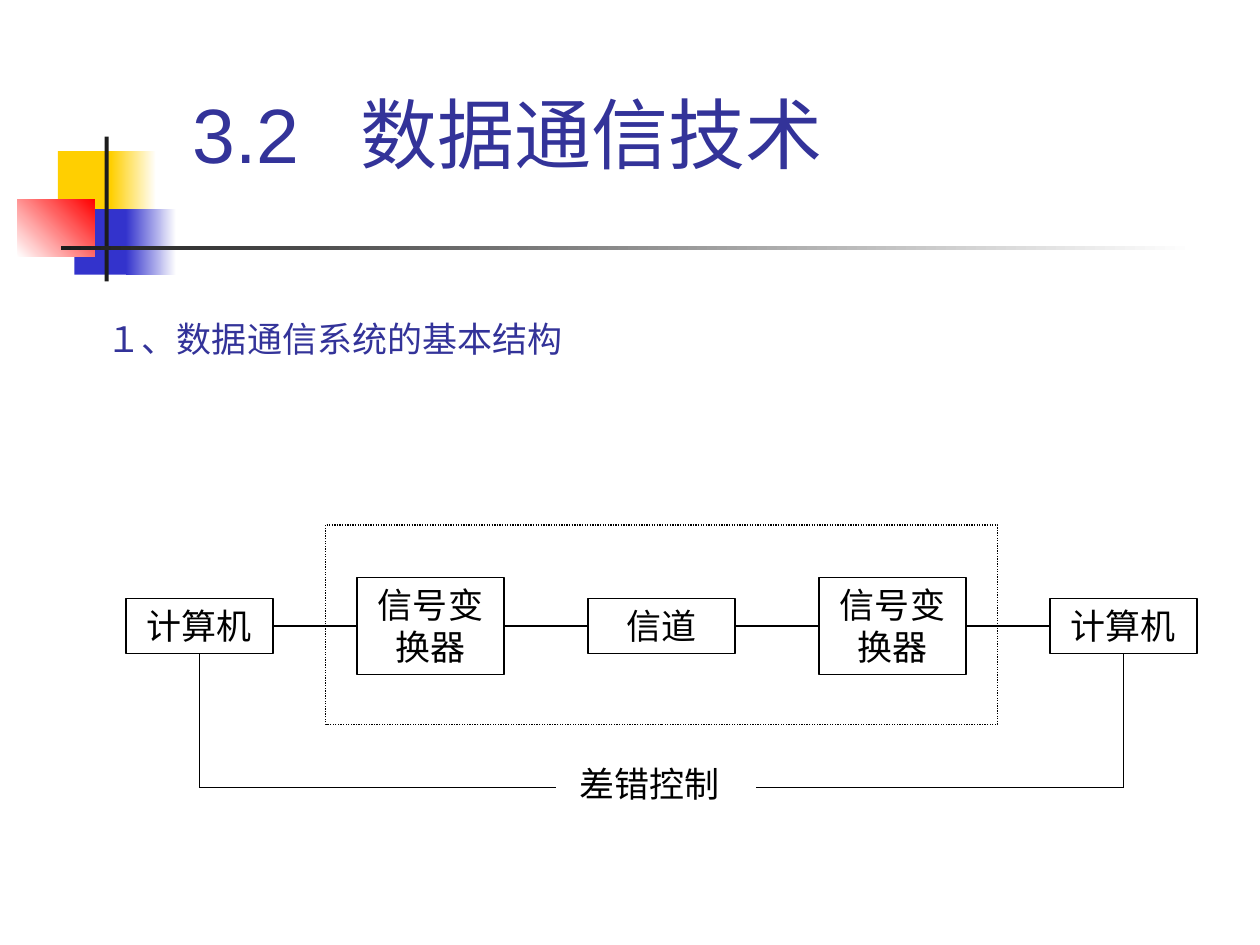
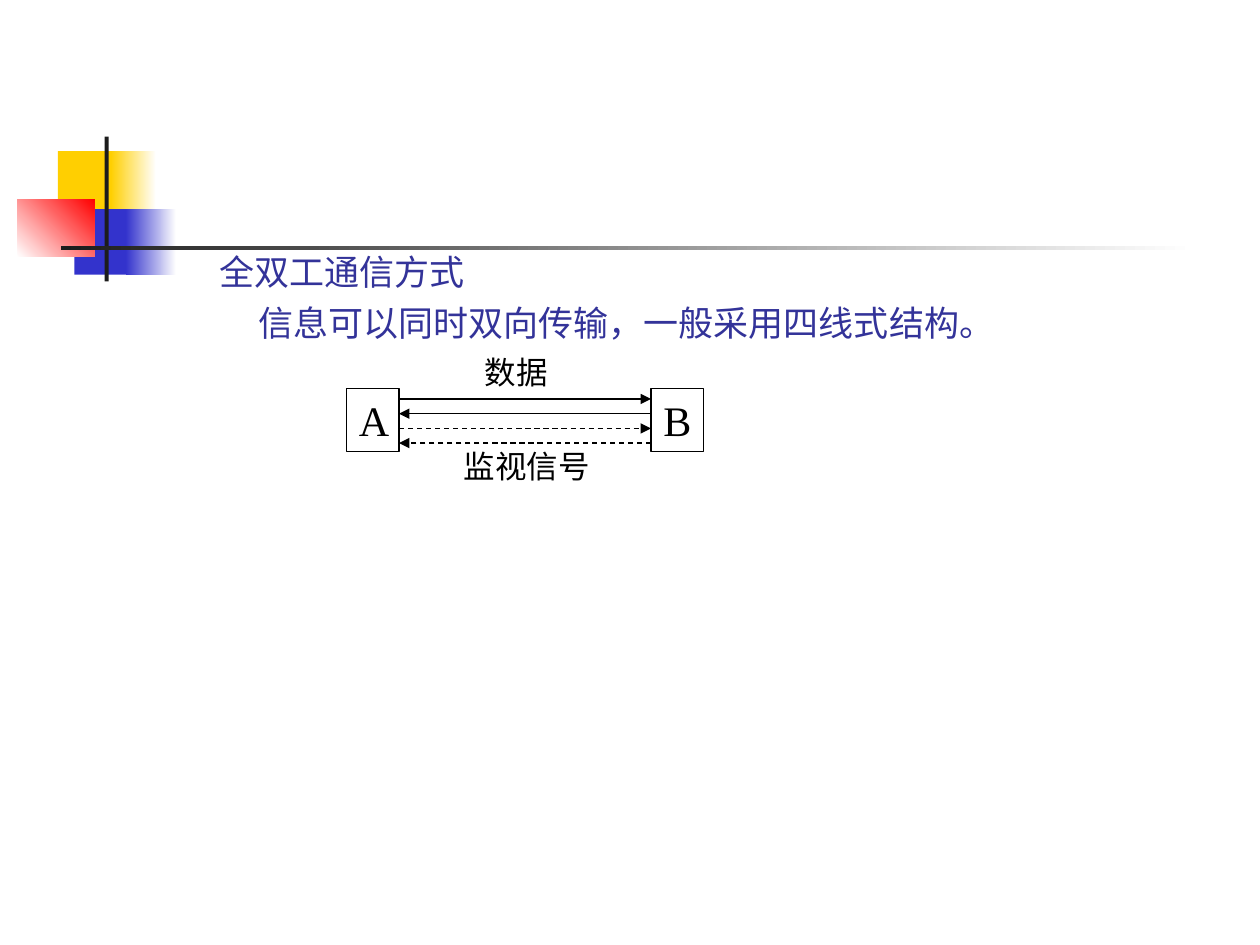
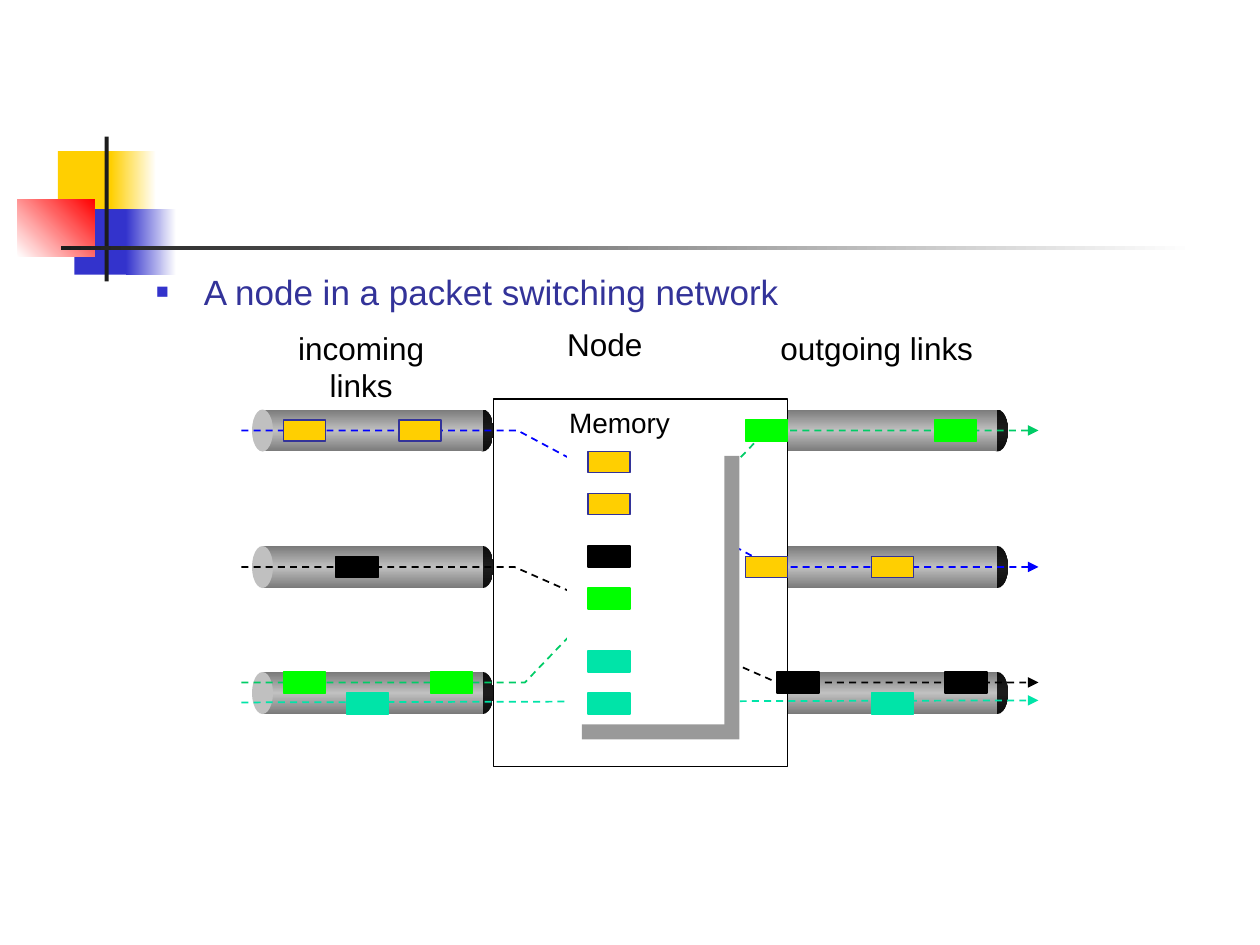
from lxml import etree
from pptx import Presentation
from pptx.dml.color import RGBColor
from pptx.enum.dml import MSO_LINE
from pptx.enum.shapes import MSO_CONNECTOR, MSO_SHAPE
from pptx.enum.text import MSO_ANCHOR, PP_ALIGN
from pptx.oxml.ns import qn
from pptx.util import Inches, Pt

RECTANGLE, ELLIPSE = MSO_SHAPE.RECTANGLE, MSO_SHAPE.OVAL
STRAIGHT = MSO_CONNECTOR.STRAIGHT
DASH, DOT = MSO_LINE.DASH, MSO_LINE.ROUND_DOT
LEFT, CENTER = PP_ALIGN.LEFT, PP_ALIGN.CENTER
TOP, BOTTOM = MSO_ANCHOR.TOP, MSO_ANCHOR.BOTTOM
SIDE_LEFT, SIDE_BOTTOM, SIDE_RIGHT = 1, 2, 3

BLACK, WHITE, INK = "000000", "FFFFFF", "1C1C1C"
NAVY, BLUE, YELLOW, RED = "333399", "3333CC", "FFCF01", "FF0000"
GREEN, TEAL, SILVER = "00FF00", "00E4A8", "C0C0C0"
SANS, SERIF = "Arial", "Times New Roman"

# The grid has 120 columns and 90 rows, twelve to the inch
COLUMNS = 120


def color(value):
    return RGBColor.from_string(value)


def add_xml(parent, tag, **attributes):
    return etree.SubElement(parent, qn(tag), attributes)


class Deck:
    def __init__(self):
        self.presentation = Presentation()
        self.presentation.slide_width = Inches(10)
        self.presentation.slide_height = Inches(7.5)
        self.slide = None

    def grid(self, *lengths):
        """Turn lengths in grid units into EMU; columns and rows are equal."""
        return [round(length * self.presentation.slide_width / COLUMNS) for length in lengths]

    def new_slide(self):
        self.slide = self.presentation.slides.add_slide(self.presentation.slide_layouts[6])
        # Coloured squares and crossing bars beside the title
        self.box((5.52, 14.4, 5.76, 6.24), YELLOW)
        self.box((10.56, 14.4, 4.32, 6.24), [YELLOW, WHITE])
        self.box((7.08, 19.92, 5.52, 6.24), BLUE)
        self.box((12, 19.92, 4.8, 6.24), [BLUE, WHITE])
        self.box((1.68, 18.96, 7.32, 5.52), [WHITE, RED], angle=45)
        self.box((9.96, 13, 0.4, 13.8), INK)
        self.box((5.8, 23.4, 108, 0.4), [INK, WHITE])

    def outline(self, shape, line_color, width, dash=None, arrow=False):
        shape.line.color.rgb = color(line_color)
        shape.line.width = Pt(width)
        if dash:
            shape.line.dash_style = dash
        if arrow:
            add_xml(shape._element.spPr.find(qn("a:ln")), "a:tailEnd", type="triangle")

    def gradient(self, shape, colors, angle):
        shape.fill.gradient()
        shape.fill.gradient_angle = angle
        stops = shape._element.spPr.find(".//" + qn("a:gsLst"))
        stops.clear()
        for index, value in enumerate(colors):
            position = 100000 * index // (len(colors) - 1)
            stop = add_xml(stops, "a:gs", pos=str(position))
            add_xml(stop, "a:srgbClr", val=value)

    def box(self, place, fill=None, line=None, width=0.75, dash=None, angle=0, kind=RECTANGLE):
        shape = self.slide.shapes.add_shape(kind, *self.grid(*place))
        shape.shadow.inherit = False
        if isinstance(fill, list):
            self.gradient(shape, fill, angle)
        elif fill:
            shape.fill.solid()
            shape.fill.fore_color.rgb = color(fill)
        else:
            shape.fill.background()
        if line:
            self.outline(shape, line, width, dash)
        else:
            shape.line.fill.background()
        return shape

    def drop_shadow(self, shape, value, distance):
        effects = shape._element.spPr.find(qn("a:effectLst"))
        shadow = add_xml(effects, "a:outerShdw", dist=str(Pt(distance)), dir="2700000",
                         algn="ctr", rotWithShape="0")
        add_xml(shadow, "a:srgbClr", val=value)

    def set_text(self, shape, lines, size, font=SERIF, ink=BLACK, align=LEFT, anchor=TOP,
                 wrap=True, inset=(0.1, 0.05), top=None, indents=((0, 0),), tab=None,
                 bullet=False):
        frame = shape.text_frame
        frame.word_wrap = wrap
        frame.vertical_anchor = anchor
        frame.margin_left = frame.margin_right = Inches(inset[0])
        frame.margin_top = frame.margin_bottom = Inches(inset[1])
        if top:
            frame.margin_top = Inches(top)
        frame.text = "\n".join(lines)
        for paragraph, (margin, indent) in zip(frame.paragraphs, indents):
            paragraph.alignment = align
            paragraph.space_before = Pt(5)
            properties = paragraph._p.get_or_add_pPr()
            properties.set("marL", str(Inches(margin)))
            properties.set("indent", str(Inches(indent)))
            if bullet:
                add_xml(add_xml(properties, "a:buClr"), "a:srgbClr", val=BLUE)
                add_xml(properties, "a:buSzPct", val="60000")
                add_xml(properties, "a:buFont", typeface=SANS)
                add_xml(properties, "a:buChar", char="■")
            if tab:
                add_xml(add_xml(properties, "a:tabLst"), "a:tab", pos=str(Inches(tab)), algn="l")
            paragraph.font.size = Pt(size)
            paragraph.font.name = font
            paragraph.font.color.rgb = color(ink)

    def text(self, place, *lines, size=20, **style):
        self.set_text(self.slide.shapes.add_textbox(*self.grid(*place)), lines, size, **style)

    def labelled_box(self, place, label, size, align=LEFT):
        shape = self.box(place, line=BLACK)
        self.set_text(shape, [label], size, align=align)
        return shape

    def line(self, start, end, line_color=BLACK, width=0.75, dash=None, arrow=False,
             begin=None, finish=None):
        connector = self.slide.shapes.add_connector(STRAIGHT, *self.grid(*start, *end))
        if begin:
            connector.begin_connect(*begin)
        if finish:
            connector.end_connect(*finish)
        self.outline(connector, line_color, width, dash, arrow)
        add_xml(connector._element.spPr, "a:effectLst")

    def route(self, points, line_color):
        """Draw a dashed line through several points, ending in an arrow."""
        first, *rest = [self.grid(*point) for point in points]
        builder = self.slide.shapes.build_freeform(*first)
        builder.add_line_segments(rest, close=False)
        shape = builder.convert_to_shape()
        shape.shadow.inherit = False
        shape.fill.background()
        self.outline(shape, line_color, 1, DASH, arrow=True)

    def pipe(self, left, top):
        height = 4
        self.box((left + 21, top, 2, height), ["0D0D0D", INK, "0D0D0D"], angle=90, kind=ELLIPSE)
        self.box((left + 1, top, 21, height), ["7A7A7A", SILVER, "7A7A7A"], angle=90)
        self.box((left, top, 2, height), SILVER, kind=ELLIPSE)


def system_structure(deck):
    deck.new_slide()
    deck.text((15.12, 2.76, 102.24, 14.88), " 3.2\t数据通信技术", size=44, font=SANS,
              ink=NAVY, anchor=BOTTOM, tab=2)
    deck.text((9, 20, 102, 61), "１、数据通信系统的基本结构", font=SANS, ink=NAVY, top=0.85)

    # Chain of devices, evenly spaced on one axis
    axis, width, pitch = 59.63, 14, 22
    stages = [("计算机", 5.28), ("信号变换器", 9.24), ("信道", 5.28),
              ("信号变换器", 9.24), ("计算机", 5.28)]
    devices = [deck.labelled_box((12 + index * pitch, axis - height / 2, width, height),
                                 name, 20, CENTER)
               for index, (name, height) in enumerate(stages)]
    deck.box((31, 50, 64, 19), line=BLACK, dash=DOT)
    for before, after in zip(devices, devices[1:]):
        deck.line((0, axis), (0, axis), begin=(before, SIDE_RIGHT), finish=(after, SIDE_LEFT))

    # Error control loop below the chain
    loop = 75
    deck.text((54, 72, 18, 5.28), "差错控制")
    for device, outer, inner in ((devices[0], 19, 53), (devices[-1], 107, 72)):
        deck.line((outer, axis), (outer, loop), begin=(device, SIDE_BOTTOM))
        deck.line((outer, loop), (inner, loop))


def full_duplex(deck):
    deck.new_slide()
    deck.text((13.68, 23.28, 102, 54), "全双工通信方式",
              "信息可以同时双向传输，一般采用四线式结构。",
              font=SANS, ink=NAVY, indents=((0.81, -0.31), (0.81, 0)))

    # Two stations and the four wires between them
    for left, name in ((33, "A"), (62, "B")):
        deck.labelled_box((left, 37, 5, 6), name, 24)
    for index, dash in enumerate((None, None, DASH, DASH)):
        row = 38 + index * 1.4
        start, end = (38, 62) if index % 2 == 0 else (62, 38)
        deck.line((start, row), (end, row), dash=dash, arrow=True)
    deck.text((45, 33, 10, 4.8), "数据", size=18)
    deck.text((43, 42, 15, 4.8), "监视信号", size=18)


def packet_switching(deck):
    deck.new_slide()
    pipe_rows = (39, 52, 64)
    for row in pipe_rows:
        deck.pipe(73, row)
    deck.text((13.68, 25.2, 94, 6), "A node in a packet switching network", font=SANS,
              ink=NAVY, indents=((0.38, -0.38),), bullet=True)
    deck.box((47, 38, 28, 35), WHITE, BLACK)
    for row in pipe_rows:
        deck.pipe(24, row)

    # Column headings
    for left, top, width, heading in ((25, 31.3, 18.8, "incoming links"),
                                      (54, 31, 7.2, "Node"),
                                      (74.3, 31.3, 18.4, "outgoing links")):
        deck.text((left, top, width, 3.6), heading, size=18, font=SANS, align=CENTER,
                  wrap=False, inset=(0, 0))

    # Routes from the incoming to the outgoing links
    start, end = 23, 98.9
    deck.line((start, 66.9), (end, 66.7), TEAL, 1, DASH, True)
    for entry, bend, turn, leave, line_color in ((65, 50, 73, 41, "00CC66"),
                                                 (41, 49.3, 73.6, 54, "0000FF"),
                                                 (54, 49, 74, 65, BLACK)):
        deck.route([(start, entry), (bend, entry), (turn, leave), (end, leave)], line_color)

    # Memory inside the node, then the packets on top
    memory = deck.box((54, 42, 15, 27), WHITE)
    deck.drop_shadow(memory, "999999", 12.1)
    packets = [
        (YELLOW, NAVY, [(27, 40), (38, 40), (56, 43), (56, 47), (71, 53), (83, 53)]),
        (BLACK, BLACK, [(32, 53), (56, 52), (74, 64), (90, 64)]),
        (GREEN, GREEN, [(27, 64), (41, 64), (56, 56), (71, 40), (89, 40)]),
        (TEAL, TEAL, [(33, 66), (56, 66), (56, 62), (83, 66)]),
    ]
    for fill, border, places in packets:
        for left, top in places:
            deck.box((left, top, 4, 2), fill, border, width=1)
    deck.text((53, 38, 12, 4.3), "Memory", size=16, font=SANS, align=CENTER, wrap=False)


def main():
    deck = Deck()
    system_structure(deck)
    full_duplex(deck)
    packet_switching(deck)
    deck.presentation.save("out.pptx")


if __name__ == "__main__":
    main()
